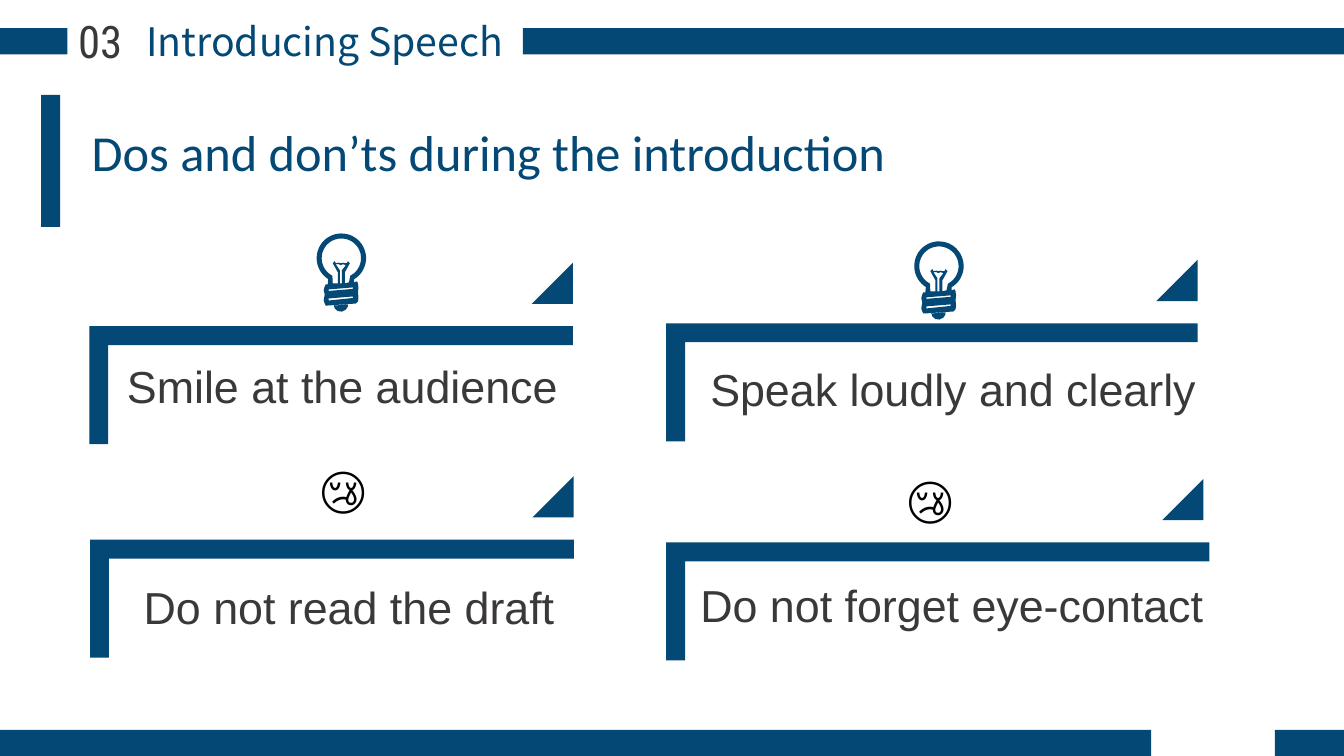
from math import cos, radians, sin

from pptx import Presentation
from pptx.dml.color import RGBColor
from pptx.enum.shapes import MSO_SHAPE
from pptx.enum.text import MSO_ANCHOR, MSO_AUTO_SIZE, PP_ALIGN
from pptx.util import Cm, Pt

RECT, CORNER, WEDGE = MSO_SHAPE.RECTANGLE, MSO_SHAPE.CORNER, MSO_SHAPE.ISOSCELES_TRIANGLE
TOP, FIXED = MSO_ANCHOR.TOP, MSO_AUTO_SIZE.NONE
LEFT, CENTER = PP_ALIGN.LEFT, PP_ALIGN.CENTER

COLORS = {"blue": "044875", "gray": "3B3838", "black": "000000"}
WIDE, HIGH = 33.87, 19.05
BAR = 0.66


def rgb(name):
    return RGBColor.from_string(COLORS[name])


def paint(shape):
    shape.shadow.inherit = False
    shape.fill.solid()
    shape.fill.fore_color.rgb = rgb("blue")
    shape.line.fill.background()


def block(slide, kind, x, y, w, h):
    shape = slide.shapes.add_shape(kind, Cm(x), Cm(y), Cm(w), Cm(h))
    paint(shape)
    return shape


def write(box, text, font, size, color, align=LEFT, lead=1.0):
    frame = box.text_frame
    frame.text = text
    frame.word_wrap = True
    frame.auto_size = FIXED
    frame.vertical_anchor = TOP
    para = frame.paragraphs[0]
    para.alignment = align
    para.line_spacing = lead
    face = para.runs[0].font
    face.name, face.size = font, Pt(size)
    face.color.rgb = rgb(color)


def label(slide, x, y, w, h, *style):
    box = slide.shapes.add_textbox(Cm(x), Cm(y), Cm(w), Cm(h))
    write(box, *style)


def arc(radius, start, end):
    """Points around the centre of the bulb's glass."""
    steps = 48
    angles = [radians(start + (end - start) * i / steps) for i in range(steps + 1)]
    return [(24.5 + radius * cos(a), 25 + radius * sin(a)) for a in angles]


# Bulb outlines, in hundredths of an inch
BULB = [
    # Glass and screw base
    arc(24.5, 122, 419) + [
        (37, 49), (40, 48), (41, 50), (41.5, 54), (41, 59), (41.5, 64), (41, 68),
        (39, 70), (11, 72), (9, 72), (8, 70), (7, 67), (8, 61), (7, 57), (8, 53),
        (9, 51), (11, 51)],
    # Inside of the glass, around the wire
    arc(19.5, 63, -243) + [
        (16, 50), (21, 50), (21, 39), (16, 30), (18, 28), (19, 30), (22, 29.5),
        (24, 30), (26, 29.5), (28, 30), (30, 30), (31, 28), (33, 30), (28, 39),
        (28, 50), (32, 49)],
    # Inside of the wire
    [(29, 32), (26, 31), (24, 32), (22, 31), (19, 31), (23, 37), (23, 50),
     (25, 50), (25, 37)],
    # Tip and threads
    [(31, 71), (17, 72), (18, 75), (21, 77.5), (25, 78), (29, 76), (31, 73)],
    [(36, 63), (12, 65), (12, 67), (36, 64.5)],
    [(36, 54), (12, 56), (12, 57.5), (36, 55.5)],
]


def bulb(slide, x, y):
    pen = None
    for ring in BULB:
        points = [(px * 10, py * 10) for px, py in ring]
        if pen is None:
            pen = slide.shapes.build_freeform(*points[0], scale=Cm(2.54) / 1000)
        else:
            pen.move_to(*points[0])
        pen.add_line_segments(points[1:], close=True)
    paint(pen.convert_to_shape(Cm(x), Cm(y)))


def sad(slide, x, y):
    label(slide, x, y, 2.41, 1.8, "😢", "Calibri", 36, "black")


def header(slide, x, y, w):
    block(slide, RECT, x, y, 1.7, BAR)
    block(slide, RECT, x + 13.18, y, w - 13.18, BAR)
    title = slide.shapes.title
    title.left, title.top = Cm(x + 1.78), Cm(y - 0.41)
    title.width, title.height = Cm(12.8), Cm(1.45)
    write(title, "Introducing Speech", "Noto Sans CJK SC", 28, "blue", CENTER)
    label(slide, x + 1.52, y - 0.48, 2.01, 1.63,
          "03", "Roboto Condensed", 32, "gray", CENTER)


def topic(slide, x, y):
    block(slide, RECT, x, y, 0.48, 3.33)
    label(slide, x + 1.02, y + 1.22, 20.55, 1.24,
          "Dos and don’ts during the introduction", "Calibri", 36, "blue", LEFT, Pt(24))


def card(slide, x, y, w, text, inset, drop, lead, icon, shift, rise, trim):
    high = 2.97
    # Bracket: a turned corner, so its sides swap about the centre
    frame = block(slide, CORNER, x + (w - high) / 2, y + (high - w) / 2, high, w)
    frame.rotation = 90
    frame.adjustments[0] = frame.adjustments[1] = 0.16
    # Wedge over the right end
    side = 1.04
    wedge = block(slide, WEDGE, x + w - side - trim, y - 1.6, side, side)
    wedge.adjustments[0] = 1
    icon(slide, x + shift, y - rise)
    label(slide, x + inset, y + drop, w + 0.5, 1.2,
          text, "Arial", 32, "gray", LEFT, Pt(lead))


def footer(slide, x, y, w):
    block(slide, RECT, x, y, 29.01, BAR)
    block(slide, RECT, x + 32.13, y, w - 32.13, BAR)


# Box, text and its place, icon and its place, wedge trim
CARDS = [
    (2.25, 8.22, 12.19, "Smile at the audience", 0.7, 1.18, 25, bulb, 5.73, 2.35, 0),
    (16.79, 8.15, 13.39, "Speak loudly and clearly", 0.86, 1.24, 27, bulb, 6.25, 2.08, 0),
    (2.27, 13.6, 12.19, "Do not read the draft", 1.1, 1.36, 25, sad, 5.55, 2.2, 0),
    (16.79, 13.67, 13.69, "Do not forget eye-contact", 0.61, 1.24, 25, sad, 5.82, 2.03, 0.15),
]


def main():
    deck = Presentation()
    deck.slide_width, deck.slide_height = Cm(WIDE), Cm(HIGH)
    slide = deck.slides.add_slide(deck.slide_layouts[5])
    footer(slide, 0, HIGH - BAR, WIDE)
    header(slide, 0, 0.71, WIDE)
    topic(slide, 1.04, 2.39)
    for item in CARDS:
        card(slide, *item)
    deck.save("out.pptx")


if __name__ == "__main__":
    main()
